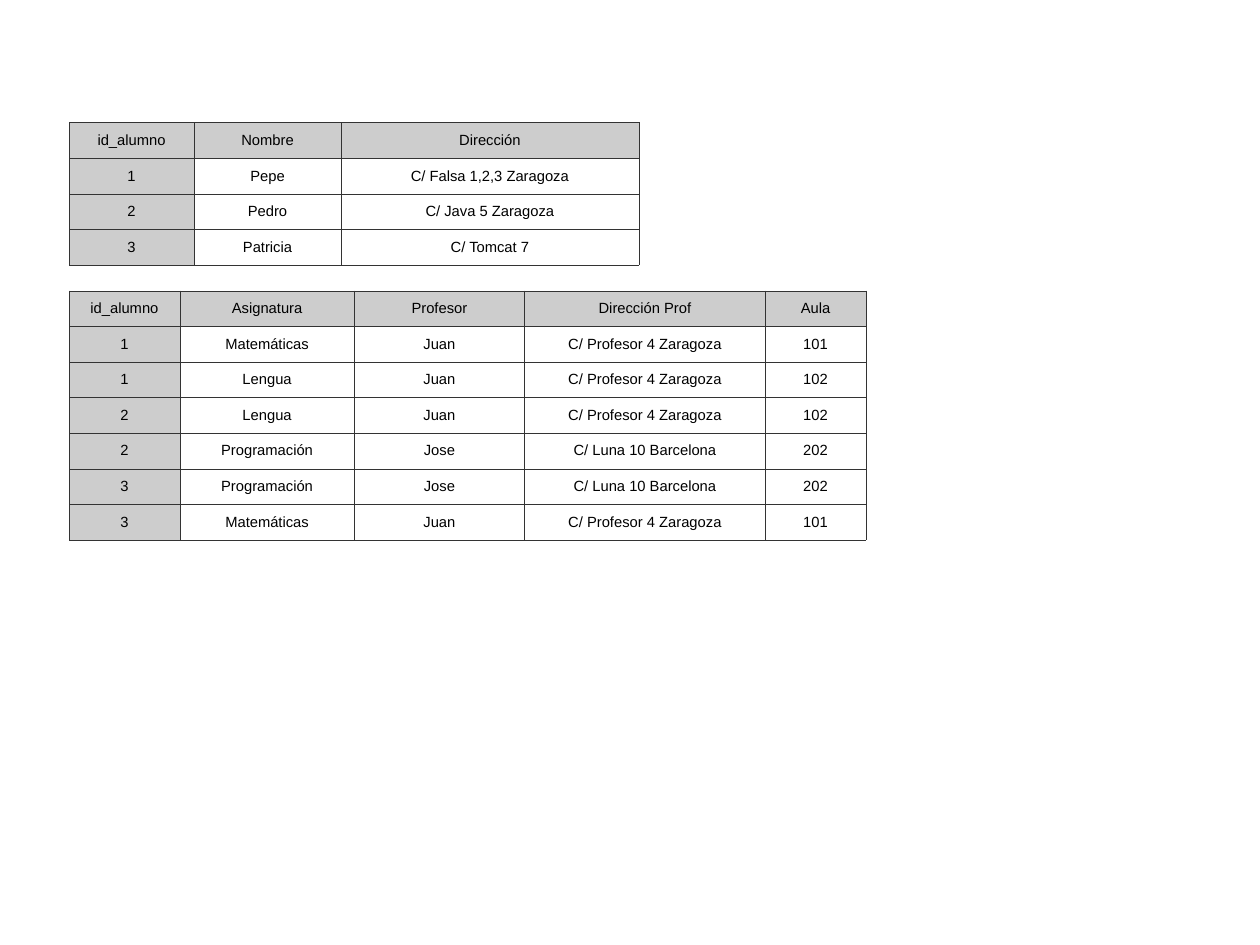
"""Build a slide with the student table and the table of their subjects."""
import dataclasses

import lxml.etree
import pptx
import pptx.dml.color
import pptx.enum.text
import pptx.oxml.ns
import pptx.util


@dataclasses.dataclass(frozen=True)
class Theme:
    font: str = "Arial"
    size: float = 12
    text: str = "000000"
    key_fill: str = "CDCDCD"
    border: str = "333333"
    border_width: float = 0.11
    margin_x: float = 0.06
    margin_y: float = 0.05


class SlideBuilder:
    def __init__(self, slide, theme):
        self.slide = slide
        self.theme = theme

    def table(self, left, top, height, widths, rows):
        inches = pptx.util.Inches
        frame = self.slide.shapes.add_table(
            len(rows), len(widths),
            inches(left), inches(top), inches(sum(widths)), inches(height))
        table = frame.table
        table.first_row = False
        table.horz_banding = False
        for column, width in zip(table.columns, widths):
            column.width = inches(width)
        for row in table.rows:
            row.height = inches(height / len(rows))
        for row_index, values in enumerate(rows):
            for column_index, value in enumerate(values):
                is_key = row_index == 0 or column_index == 0
                self.cell(table.cell(row_index, column_index), value, is_key)

    def cell(self, cell, value, is_key):
        theme = self.theme
        self.borders(cell)
        if is_key:
            cell.fill.solid()
            cell.fill.fore_color.rgb = pptx.dml.color.RGBColor.from_string(theme.key_fill)
        else:
            cell.fill.background()
        cell.margin_left = cell.margin_right = pptx.util.Inches(theme.margin_x)
        cell.margin_top = cell.margin_bottom = pptx.util.Inches(theme.margin_y)
        cell.vertical_anchor = pptx.enum.text.MSO_ANCHOR.MIDDLE
        cell.text = value
        paragraph = cell.text_frame.paragraphs[0]
        paragraph.alignment = pptx.enum.text.PP_ALIGN.CENTER
        paragraph.font.name = theme.font
        paragraph.font.size = pptx.util.Pt(theme.size)
        paragraph.font.color.rgb = pptx.dml.color.RGBColor.from_string(theme.text)

    def borders(self, cell):
        qn = pptx.oxml.ns.qn
        properties = cell._tc.get_or_add_tcPr()
        width = str(pptx.util.Pt(self.theme.border_width))
        for side in ("a:lnL", "a:lnR", "a:lnT", "a:lnB"):
            line = lxml.etree.SubElement(properties, qn(side), w=width)
            fill = lxml.etree.SubElement(line, qn("a:solidFill"))
            lxml.etree.SubElement(fill, qn("a:srgbClr"), val=self.theme.border)


STUDENTS = [
    ("id_alumno", "Nombre", "Dirección"),
    ("1", "Pepe", "C/ Falsa 1,2,3 Zaragoza"),
    ("2", "Pedro", "C/ Java 5 Zaragoza"),
    ("3", "Patricia", "C/ Tomcat 7"),
]

JUAN = ("Juan", "C/ Profesor 4 Zaragoza")
JOSE = ("Jose", "C/ Luna 10 Barcelona")
SUBJECTS = [
    ("id_alumno", "Asignatura", "Profesor", "Dirección Prof", "Aula"),
    ("1", "Matemáticas", *JUAN, "101"),
    ("1", "Lengua", *JUAN, "102"),
    ("2", "Lengua", *JUAN, "102"),
    ("2", "Programación", *JOSE, "202"),
    ("3", "Programación", *JOSE, "202"),
    ("3", "Matemáticas", *JUAN, "101"),
]


def main():
    presentation = pptx.Presentation()
    presentation.slide_width = pptx.util.Inches(14.22)
    presentation.slide_height = pptx.util.Inches(10.66)
    blank_layout = presentation.slide_layouts[6]
    builder = SlideBuilder(presentation.slides.add_slide(blank_layout), Theme())
    left = 0.78
    builder.table(left, 1.38, 1.61, (1.41, 1.66, 3.36), STUDENTS)
    builder.table(left, 3.28, 2.81, (1.25, 1.97, 1.92, 2.72, 1.13), SUBJECTS)
    presentation.save("out.pptx")


if __name__ == "__main__":
    main()
